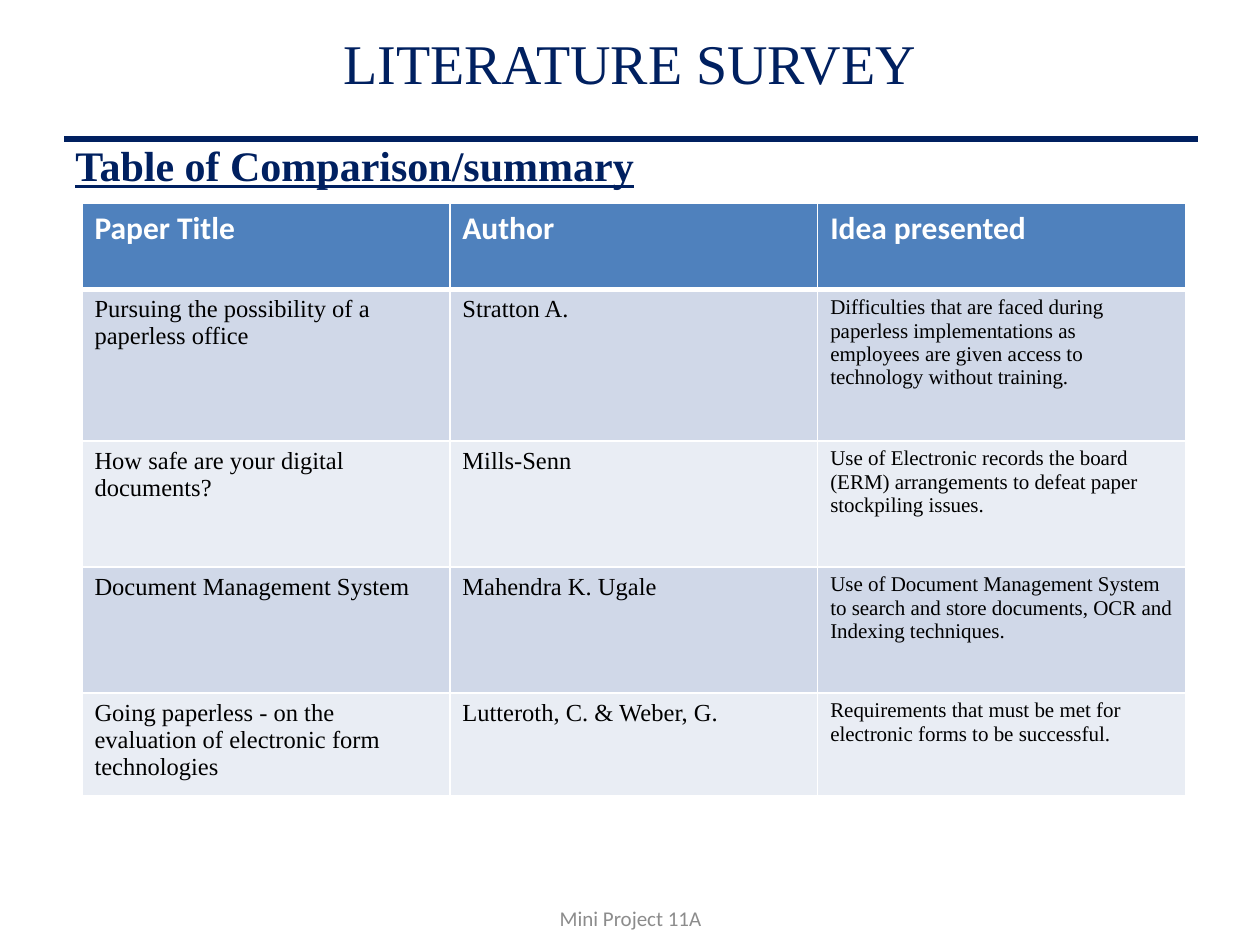
import pptx
import pptx.util
import pptx.dml.color
import pptx.enum.shapes
import pptx.enum.text
import pptx.oxml
import pptx.oxml.ns
from dataclasses import dataclass
from lxml import etree
from pptx.util import Inches, Pt


@dataclass(frozen=True)
class Theme:
    navy: str = "002060"
    header: str = "4F81BD"
    bands: tuple = ("D0D8E8", "E9EDF4")
    white: str = "FFFFFF"
    black: str = "000000"
    gray: str = "8C8C8C"
    serif: str = "Times New Roman"
    sans: str = "Calibri"
    title_size: int = 32
    subtitle_size: int = 24
    header_size: int = 18
    body_size: int = 14
    small_size: int = 12


def format_text(text_frame, font_name, size, color, bold=False, underline=False, alignment=None):
    for paragraph in text_frame.paragraphs:
        paragraph.alignment = alignment
        for run in paragraph.runs:
            run.font.name = font_name
            run.font.size = Pt(size)
            run.font.bold = bold
            run.font.underline = underline
            run.font.color.rgb = pptx.dml.color.RGBColor.from_string(color)


def add_border(cell, side, width, color):
    properties = cell._tc.get_or_add_tcPr()
    line = etree.SubElement(properties, pptx.oxml.ns.qn(f"a:ln{side}"), w=str(Pt(width)))
    fill = etree.SubElement(line, pptx.oxml.ns.qn("a:solidFill"))
    etree.SubElement(fill, pptx.oxml.ns.qn("a:srgbClr"), val=color)


theme = Theme()
center = pptx.enum.text.PP_ALIGN.CENTER
middle = pptx.enum.text.MSO_ANCHOR.MIDDLE

presentation = pptx.Presentation()
presentation.slide_width = Inches(10)
presentation.slide_height = Inches(7.5)
slide = presentation.slides.add_slide(presentation.slide_layouts[5])

title = slide.shapes.title
title.left, title.top, title.width, title.height = Inches(0.5), Inches(0), Inches(9), Inches(0.98)
title.text_frame.text = "LITERATURE SURVEY"
title.text_frame.vertical_anchor = middle
format_text(title.text_frame, theme.serif, theme.title_size, theme.navy, alignment=center)

rule = slide.shapes.add_connector(
    pptx.enum.shapes.MSO_CONNECTOR.STRAIGHT, Inches(0.51), Inches(1.1), Inches(9.51), Inches(1.1)
)
rule.line.color.rgb = pptx.dml.color.RGBColor.from_string(theme.navy)
rule.line.width = Pt(3.5)
etree.SubElement(rule._element.spPr, pptx.oxml.ns.qn("a:effectLst"))

subtitle = slide.shapes.add_textbox(Inches(0.5), Inches(1.06), Inches(6.39), Inches(0.5))
subtitle.text_frame.word_wrap = True
subtitle.text_frame.auto_size = pptx.enum.text.MSO_AUTO_SIZE.SHAPE_TO_FIT_TEXT
subtitle.text_frame.text = "Table of Comparison/summary"
format_text(subtitle.text_frame, theme.serif, theme.subtitle_size, theme.navy, bold=True, underline=True)

papers = [
    ("Paper Title", "Author", "Idea presented"),
    (
        "Pursuing the possibility of a paperless office",
        "Stratton A.",
        "Difficulties that are faced during paperless implementations as\n"
        "employees are given access to technology without training.",
    ),
    (
        "How safe are your digital documents?",
        "Mills-Senn",
        "Use of Electronic records the board (ERM) arrangements to defeat paper stockpiling issues.",
    ),
    (
        "Document Management System",
        "Mahendra K. Ugale",
        "Use of Document Management System to search and store documents, OCR and Indexing techniques.",
    ),
    (
        "Going paperless - on the evaluation of electronic form technologies",
        "Lutteroth, C. & Weber, G.",
        "Requirements that must be met for electronic forms to be successful.",
    ),
]
row_heights = [0.69, 1.2, 1, 1, 0.82]
table = slide.shapes.add_table(
    len(papers), 3, Inches(0.65), Inches(1.61), Inches(8.76), Inches(sum(row_heights))
).table
for column in table.columns:
    column.width = Inches(2.92)

for row_index, (paper, height) in enumerate(zip(papers, row_heights)):
    table.rows[row_index].height = Inches(height)
    is_header = row_index == 0
    fill_color = theme.header if is_header else theme.bands[(row_index - 1) % 2]
    for column_index, text in enumerate(paper):
        cell = table.cell(row_index, column_index)
        cell.text_frame.text = text
        if is_header:
            format_text(cell.text_frame, theme.sans, theme.header_size, theme.white, bold=True)
        else:
            size = theme.small_size if column_index == 2 else theme.body_size
            format_text(cell.text_frame, theme.serif, size, theme.black)
        for side in "LRTB":
            under_header = (row_index, side) in ((0, "B"), (1, "T"))
            add_border(cell, side, 3 if under_header else 1, theme.white)
        cell.fill.solid()
        cell.fill.fore_color.rgb = pptx.dml.color.RGBColor.from_string(fill_color)

footer = slide.shapes.add_textbox(Inches(3.42), Inches(7.09), Inches(3.17), Inches(0.4))
footer.text_frame.word_wrap = True
footer.text_frame.vertical_anchor = middle
footer.text_frame.text = "Mini Project 11A"
format_text(footer.text_frame, theme.sans, theme.small_size, theme.gray, alignment=center)

presentation.save("out.pptx")
